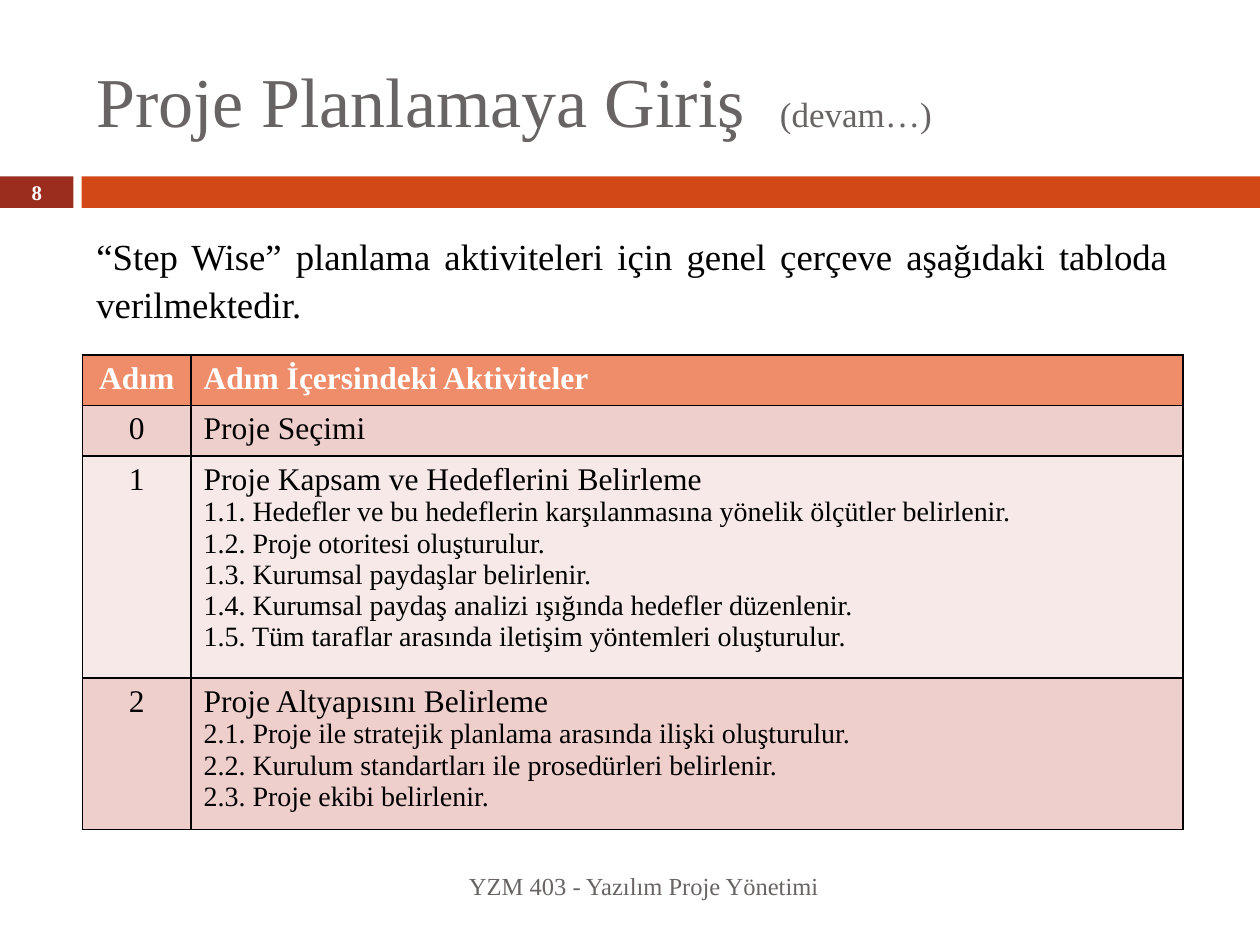
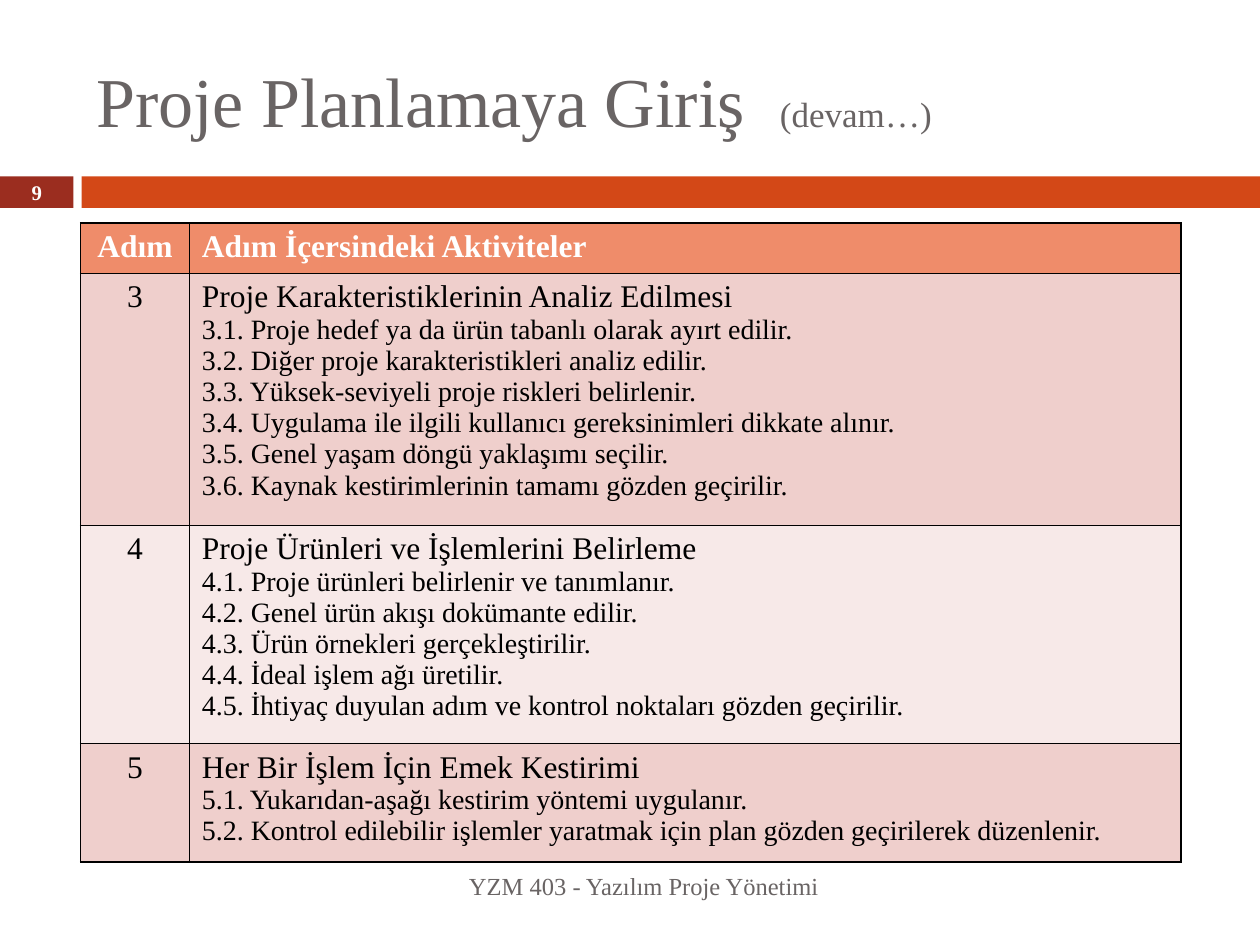
from lxml import etree
from pptx import Presentation
from pptx.dml.color import RGBColor
from pptx.enum.shapes import MSO_SHAPE
from pptx.enum.text import MSO_ANCHOR, PP_ALIGN
from pptx.oxml.ns import qn
from pptx.util import Pt

RECT = MSO_SHAPE.RECTANGLE
TOP, MIDDLE = MSO_ANCHOR.TOP, MSO_ANCHOR.MIDDLE
LEFT, CENTER, RIGHT, JUSTIFY = PP_ALIGN.LEFT, PP_ALIGN.CENTER, PP_ALIGN.RIGHT, PP_ALIGN.JUSTIFY

FONT = "Times New Roman"
BLACK = RGBColor(0x00, 0x00, 0x00)
WHITE = RGBColor(0xFF, 0xFF, 0xFF)
GREY = RGBColor(0x69, 0x64, 0x64)
DARK_RED = RGBColor(0x9B, 0x2D, 0x1F)
ORANGE = RGBColor(0xD3, 0x48, 0x17)
HEADER_FILL = RGBColor(0xEF, 0x8C, 0x6A)
ROW_FILLS = (RGBColor(0xEF, 0xCF, 0xCC), RGBColor(0xF7, 0xE9, 0xE8))

TITLE, CONTINUED = "Proje Planlamaya Giriş", "(devam…)"
FOOTER = "YZM 403 - Yazılım Proje Yönetimi"
INTRO = "“Step Wise” planlama aktiviteleri için genel çerçeve aşağıdaki tabloda verilmektedir."
HEADINGS = ("Adım", "Adım İçersindeki Aktiviteler")
COLUMNS = (62.2, 566.8)

FIRST_STEPS = [
    ("Proje Seçimi", []),
    ("Proje Kapsam ve Hedeflerini Belirleme", [
        "Hedefler ve bu hedeflerin karşılanmasına yönelik ölçütler belirlenir.",
        "Proje otoritesi oluşturulur.",
        "Kurumsal paydaşlar belirlenir.",
        "Kurumsal paydaş analizi ışığında hedefler düzenlenir.",
        "Tüm taraflar arasında iletişim yöntemleri oluşturulur.",
    ]),
    ("Proje Altyapısını Belirleme", [
        "Proje ile stratejik planlama arasında ilişki oluşturulur.",
        "Kurulum standartları ile prosedürleri belirlenir.",
        "Proje ekibi belirlenir.",
    ]),
]
NEXT_STEPS = [
    ("Proje Karakteristiklerinin Analiz Edilmesi", [
        "Proje hedef ya da ürün tabanlı olarak ayırt edilir.",
        "Diğer proje karakteristikleri analiz edilir.",
        "Yüksek-seviyeli proje riskleri belirlenir.",
        "Uygulama ile ilgili kullanıcı gereksinimleri dikkate alınır.",
        "Genel yaşam döngü yaklaşımı seçilir.",
        "Kaynak kestirimlerinin tamamı gözden geçirilir.",
    ]),
    ("Proje Ürünleri ve İşlemlerini Belirleme", [
        "Proje ürünleri belirlenir ve tanımlanır.",
        "Genel ürün akışı dokümante edilir.",
        "Ürün örnekleri gerçekleştirilir.",
        "İdeal işlem ağı üretilir.",
        "İhtiyaç duyulan adım ve kontrol noktaları gözden geçirilir.",
    ]),
    ("Her Bir İşlem İçin Emek Kestirimi", [
        "Yukarıdan-aşağı kestirim yöntemi uygulanır.",
        "Kontrol edilebilir işlemler yaratmak için plan gözden geçirilerek düzenlenir.",
    ]),
]


def write(p, text, size=18, color=BLACK, bold=False, align=LEFT, tracking=0):
    """Append a formatted run to a paragraph."""
    p.alignment = align
    r = p.add_run()
    r.text = text
    r.font.name, r.font.size, r.font.bold = FONT, Pt(size), bold
    r.font.color.rgb = color
    if tracking:
        r._r.get_or_add_rPr().set("spc", str(tracking * 100))


def add_box(s, box, anchor=MIDDLE):
    """Add a wrapping text box and return its first paragraph."""
    tf = s.shapes.add_textbox(*map(Pt, box)).text_frame
    tf.word_wrap = True
    tf.vertical_anchor = anchor
    return tf.paragraphs[0]


def add_band(s, box, color):
    """Add a plain filled rectangle."""
    sp = s.shapes.add_shape(RECT, *map(Pt, box))
    sp.shadow.inherit = False
    sp.fill.solid()
    sp.fill.fore_color.rgb = color
    sp.line.fill.background()


def add_title(s, box):
    """Add the title with its smaller continuation mark."""
    p = add_box(s, box)
    write(p, TITLE, size=40, color=GREY)
    write(p, " ", size=40, color=GREY, tracking=10)
    write(p, CONTINUED, size=20, color=GREY)


def add_number_band(s, box, number):
    """Add the band whose left block holds the slide number."""
    left, top, width, height = box
    block, gap = 42, 4.6
    add_band(s, (left, top, block, height), DARK_RED)
    add_band(s, (left + block + gap, top, width - block - gap, height), ORANGE)
    p = add_box(s, (left, top - 0.7, block, height + 1.4))
    write(p, str(number), size=11.9, color=WHITE, bold=True, align=CENTER)


def add_slide(prs, number):
    """Add a slide with the shared title, band and footer."""
    s = prs.slides.add_slide(prs.slide_layouts[6])
    add_number_band(s, (0, 100.8, 720, 18), number)
    add_title(s, (48, 18, 642, 78))
    write(add_box(s, (48, 492, 427, 28.8)), FOOTER, size=14, color=GREY, align=RIGHT)
    return s


def style_cell(cell, color):
    """Give a cell its fill and thin black borders."""
    tcPr = cell._tc.get_or_add_tcPr()
    for side in ("a:lnL", "a:lnR", "a:lnT", "a:lnB"):
        ln = etree.SubElement(tcPr, qn(side), w=str(Pt(1)))
        fill = etree.SubElement(ln, qn("a:solidFill"))
        etree.SubElement(fill, qn("a:srgbClr"), val=str(BLACK))
    cell.fill.solid()
    cell.fill.fore_color.rgb = color


def add_steps(s, left, top, heights, steps, first):
    """Add the table of numbered steps and their activities."""
    box = (left, top, sum(COLUMNS), sum(heights))
    table = s.shapes.add_table(len(heights), len(COLUMNS), *map(Pt, box)).table
    for column, width in zip(table.columns, COLUMNS):
        column.width = Pt(width)
    for row, height in zip(table.rows, heights):
        row.height = Pt(height)
    for col, (heading, align) in enumerate(zip(HEADINGS, (CENTER, LEFT))):
        cell = table.cell(0, col)
        style_cell(cell, HEADER_FILL)
        write(cell.text_frame.paragraphs[0], heading, color=WHITE, bold=True, align=align)
    for i, (name, activities) in enumerate(steps):
        number_cell, step_cell = table.cell(i + 1, 0), table.cell(i + 1, 1)
        for cell in (number_cell, step_cell):
            style_cell(cell, ROW_FILLS[i % 2])
        write(number_cell.text_frame.paragraphs[0], str(first + i), align=CENTER)
        tf = step_cell.text_frame
        write(tf.paragraphs[0], name)
        for j, activity in enumerate(activities, 1):
            write(tf.add_paragraph(), f"{first + i}.{j}. {activity}", size=16)


def main():
    """Build both slides and save the deck."""
    prs = Presentation()
    prs.slide_width, prs.slide_height = Pt(720), Pt(540)

    s = add_slide(prs, 8)
    p = add_box(s, (48, 128, 627, 58.3), anchor=TOP)
    p.line_spacing = 1.08
    write(p, INTRO, size=21, align=JUSTIFY)
    add_steps(s, 47, 202.8, (28.7, 28.7, 126.9, 86.8), FIRST_STEPS, first=0)

    s = add_slide(prs, 9)
    add_steps(s, 46, 127.4, (27.1, 134.6, 116.8, 67.5), NEXT_STEPS, first=3)

    prs.save("out.pptx")


main()
